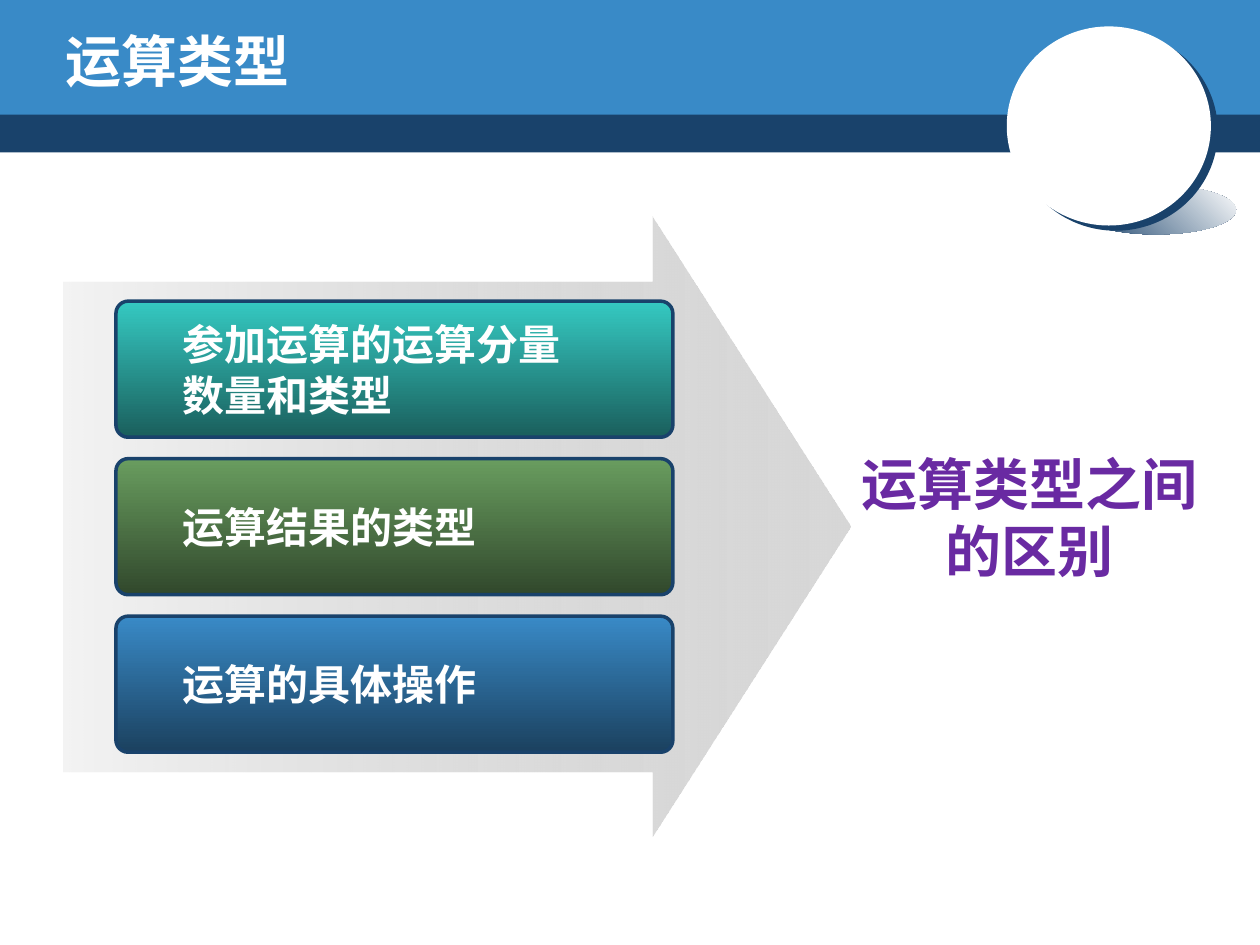
from lxml import etree
from pptx import Presentation
from pptx.dml.color import RGBColor
from pptx.enum.shapes import MSO_SHAPE
from pptx.enum.text import MSO_ANCHOR, PP_ALIGN
from pptx.oxml import parse_xml
from pptx.oxml.ns import nsdecls, qn
from pptx.util import Inches, Pt

RECT, OVAL = MSO_SHAPE.RECTANGLE, MSO_SHAPE.OVAL
ROUND, ARROW = MSO_SHAPE.ROUNDED_RECTANGLE, MSO_SHAPE.RIGHT_ARROW
MIDDLE = MSO_ANCHOR.MIDDLE
LEFT, CENTER = PP_ALIGN.LEFT, PP_ALIGN.CENTER
CJK, LATIN = "Noto Sans CJK SC", "Comic Neue"
NAVY, BLUE, WHITE, PURPLE = "19426B", "398AC7", "FFFFFF", "692AA2"

prs = Presentation()
prs.slide_width, prs.slide_height = Inches(10), Inches(7.5)
s = prs.slides.add_slide(prs.slide_layouts[5])


def add_shape(kind, box, fill=None, angle=0, line=None):
    """Add a shape; fill is None, a hex colour or a list of (hex, opacity %) stops."""
    sp = s.shapes.add_shape(kind, *[Inches(v) for v in box])
    sp.shadow.inherit = False
    if fill is None:
        sp.fill.background()
    elif isinstance(fill, str):
        sp.fill.solid()
        sp.fill.fore_color.rgb = RGBColor.from_string(fill)
    else:
        stops = "".join(
            f'<a:gs pos="{i * 100000}"><a:srgbClr val="{c}">'
            f'<a:alpha val="{alpha * 1000}"/></a:srgbClr></a:gs>'
            for i, (c, alpha) in enumerate(fill))
        sp._element.spPr.find(qn("a:prstGeom")).addnext(parse_xml(
            f'<a:gradFill {nsdecls("a")} rotWithShape="1"><a:gsLst>{stops}</a:gsLst>'
            f'<a:lin ang="{angle * 60000}" scaled="0"/></a:gradFill>'))
    if line:
        sp.line.color.rgb = RGBColor.from_string(line)
        sp.line.width = Pt(2)
    else:
        sp.line.fill.background()
    return sp


def write(sp, lines, size, color, align, latin=CJK, indent=0):
    tf = sp.text_frame
    tf.vertical_anchor = MIDDLE
    for i, text in enumerate(lines):
        p = tf.paragraphs[0] if i == 0 else tf.add_paragraph()
        p.alignment = align
        p.line_spacing = Pt(size * 1.2)
        if indent:
            p.level = 1
            pPr = p._p.get_or_add_pPr()
            pPr.set("marL", str(Inches(indent)))
            pPr.set("indent", "0")
        r = p.add_run()
        r.text = text
        for name, value in {"size": Pt(size), "bold": True, "name": latin}.items():
            setattr(r.font, name, value)
        r.font.color.rgb = RGBColor.from_string(color)
        etree.SubElement(r._r.get_or_add_rPr(), qn("a:ea")).set("typeface", CJK)


# Header bands and the disc with its shadow
add_shape(RECT, (0, 0.87, 10, 0.34), NAVY)
add_shape(RECT, (0, 0, 10, 0.91), BLUE)
add_shape(OVAL, (8.54, 1.47, 1.27, 0.39), [(NAVY, 100), (WHITE, 100)], 315)
disc = add_shape(OVAL, (7.99, 0.21, 1.62, 1.58), WHITE)
disc._element.spPr.find(qn("a:effectLst")).append(parse_xml(
    f'<a:outerShdw {nsdecls("a")} blurRad="0" dist="{Pt(5)}" dir="{37 * 60000}" '
    f'algn="ctr" rotWithShape="0"><a:srgbClr val="{NAVY}"/></a:outerShdw>'))
add_shape(OVAL, (8.54, 0.68, 0.57, 0.59), WHITE)

# Arrow behind the three boxes
arrow = add_shape(ARROW, (0.5, 1.72, 6.25, 4.92), [("B2B2B2", 15), ("D7D7D7", 100)])
arrow.adjustments[0], arrow.adjustments[1] = 0.79, 0.32

boxes = [
    (["参加运算的运算分量", "数量和类型"], "35C9C2", "1A5F5C"),
    (["运算结果的类型"], "699D5F", "31482C"),
    (["运算的具体操作"], BLUE, "1B415F"),
]
for i, (lines, top, bottom) in enumerate(boxes):
    sp = add_shape(ROUND, (0.92, 2.39 + 1.25 * i, 4.42, 1.08),
                   [(top, 100), (bottom, 100)], 90, NAVY)
    sp.adjustments[0] = 0.09
    tf = sp.text_frame
    tf.margin_left = tf.margin_right = 0
    tf.word_wrap = False
    write(sp, lines, 24, WHITE, LEFT, indent=0.5)

label = add_shape(ROUND, (6.66, 3.39, 3.03, 1.42))
label.adjustments[0] = 0.09
label.text_frame.word_wrap = True
write(label, ["运算类型之间的区别"], 32, PURPLE, CENTER)

title = s.shapes.title
title.left, title.top = Inches(0.42), Inches(0.17)
title.width, title.height = Inches(8.08), Inches(0.62)
write(title, ["运算类型"], 32, WHITE, LEFT, LATIN)
s.shapes._spTree.append(title._element)  # bring in front of the bands

prs.save("out.pptx")
